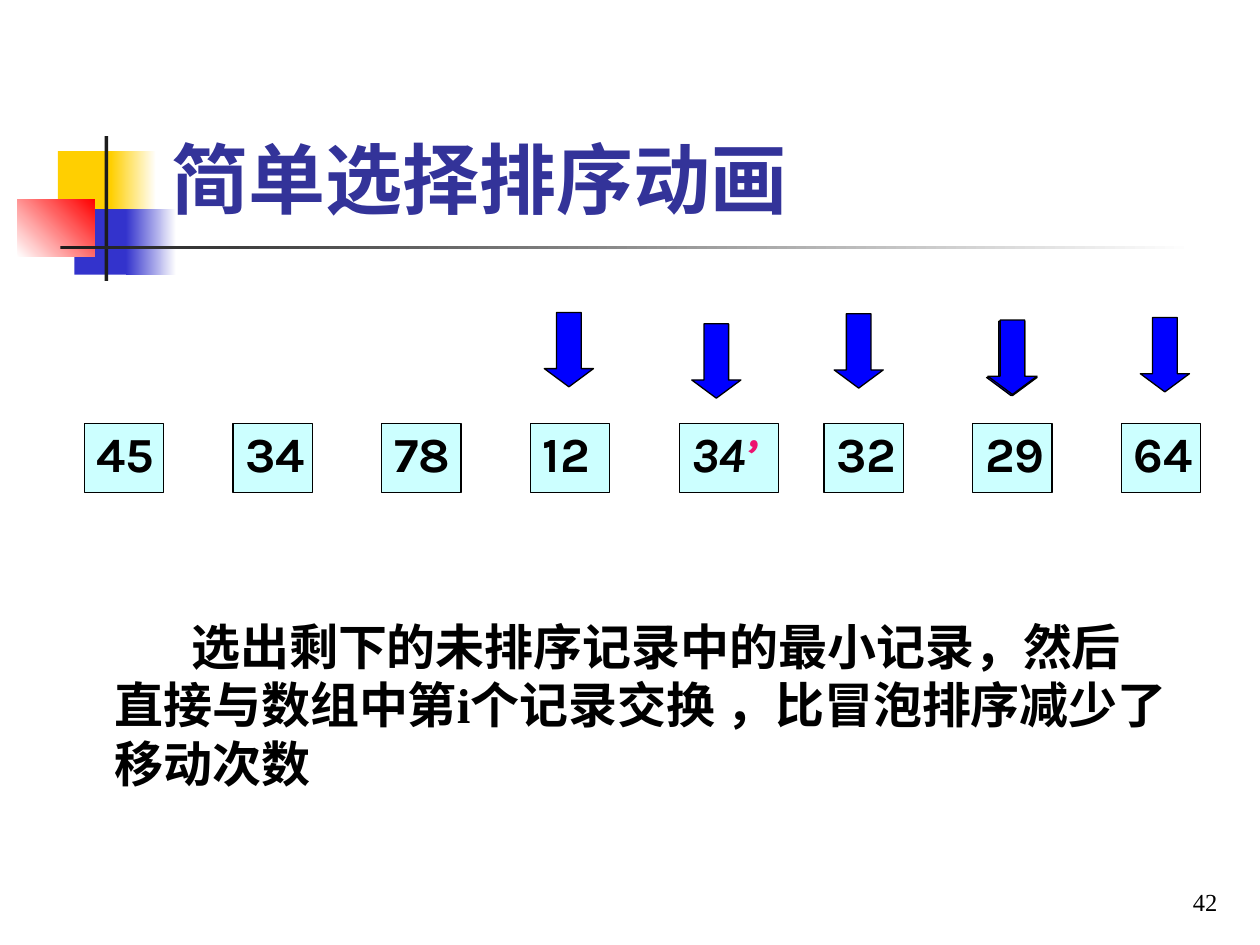
from pptx import Presentation
from pptx.dml.color import RGBColor
from pptx.enum.shapes import MSO_SHAPE
from pptx.enum.text import MSO_ANCHOR, PP_ALIGN
from pptx.util import Inches, Pt

RECTANGLE, DOWN_ARROW = MSO_SHAPE.RECTANGLE, MSO_SHAPE.DOWN_ARROW
TOP, MIDDLE, BOTTOM = MSO_ANCHOR.TOP, MSO_ANCHOR.MIDDLE, MSO_ANCHOR.BOTTOM
LEFT, RIGHT = PP_ALIGN.LEFT, PP_ALIGN.RIGHT

SERIF, SANS = "Times New Roman", "Karla"
BLACK, WHITE, PINK = "000000", "FFFFFF", "ED1370"
YELLOW, BLUE, RED, DARK = "FFCF01", "3333CC", "FF0000", "1C1C1C"

ORNAMENTS = [
    ((0.46, 1.2, 0.48, 0.52), [YELLOW], 0),
    ((0.88, 1.2, 0.36, 0.52), [YELLOW, WHITE], 0),
    ((0.59, 1.66, 0.46, 0.52), [BLUE], 0),
    ((1, 1.66, 0.4, 0.52), [BLUE, WHITE], 0),
    ((0.14, 1.58, 0.61, 0.46), [WHITE, RED], 45),
    ((0.83, 1.08, 0.03, 1.15), [DARK], 0),
    ((0.48, 1.95, 9, 0.03), [DARK, WHITE], 0),
]
TITLE = "简单选择排序动画"
EXPLANATION = "选出剩下的未排序记录中的最小记录，然后直接与数组中第i个记录交换 ，比冒泡排序减少了移动次数"
PAGE_NUMBER = "42"

RECORD_GROUPS = [
    (0.67, ["45", "34", "78", "12", "34’"]),
    (6.54, ["32", "29", "64"]),
]
RECORD_TOP, RECORD_PITCH = 3.36, 1.18
RECORD_WIDTH, MARKED_WIDTH, RECORD_HEIGHT = 0.63, 0.79, 0.55
MARK = "’"

ARROW_POSITIONS = [
    (4.32, 2.48), (6.62, 2.49), (7.84, 2.55), (7.83, 2.55),
    (5.49, 2.57), (7.84, 2.54), (9.05, 2.52),
]
ARROW_SIZE = (0.39, 0.59)

prs = Presentation()
prs.slide_width, prs.slide_height = Inches(10), Inches(7.5)
slide = prs.slides.add_slide(prs.slide_layouts[6])


def rgb(value):
    return RGBColor.from_string(value)


def add_block(kind, box, colors, angle=0, outlined=False):
    block = slide.shapes.add_shape(kind, *map(Inches, box))
    block.shadow.inherit = False
    if len(colors) == 1:
        block.fill.solid()
        block.fill.fore_color.rgb = rgb(colors[0])
    else:
        block.fill.gradient()
        block.fill.gradient_angle = angle
        for stop, color in zip(block.fill.gradient_stops, colors):
            stop.color.rgb = rgb(color)
    if outlined:
        block.line.color.rgb = rgb(BLACK)
        block.line.width = Pt(0.75)
    else:
        block.line.fill.background()
    return block


def format_run(run, font, size, color, bold=False, italic=False):
    run.font.name = font
    run.font.size = Pt(size)
    run.font.color.rgb = rgb(color)
    run.font.bold = bold
    run.font.italic = italic


def add_text(box, text, size, color, bold, anchor, align=LEFT):
    frame = slide.shapes.add_textbox(*map(Inches, box)).text_frame
    frame.word_wrap = True
    frame.vertical_anchor = anchor
    frame.text = text
    paragraph = frame.paragraphs[0]
    paragraph.alignment = align
    format_run(paragraph.runs[0], SERIF, size, color, bold)
    return paragraph


def add_record(left, value):
    marked = value.endswith(MARK)
    width = MARKED_WIDTH if marked else RECORD_WIDTH
    box = (left, RECORD_TOP, width, RECORD_HEIGHT)
    frame = add_block(RECTANGLE, box, ["CCFFFF"], outlined=True).text_frame
    frame.word_wrap = False
    frame.vertical_anchor = MIDDLE
    frame.text = value.rstrip(MARK)
    paragraph = frame.paragraphs[0]
    paragraph.alignment = LEFT
    paragraph.line_spacing = 0.8
    format_run(paragraph.runs[0], SANS, 28, BLACK, True, marked)
    if marked:
        mark = paragraph.add_run()
        mark.text = MARK
        format_run(mark, SANS, 28, PINK, True, True)


for box, colors, angle in ORNAMENTS:
    add_block(RECTANGLE, box, colors, angle)

add_text((1.26, 0.91, 8.52, 0.92), TITLE, 44, "333399", True, BOTTOM)

for start, values in RECORD_GROUPS:
    for index, value in enumerate(values):
        add_record(start + index * RECORD_PITCH, value)

for position in ARROW_POSITIONS:
    arrow = add_block(DOWN_ARROW, position + ARROW_SIZE, ["0000FF"], outlined=True)
    arrow.adjustments[0] = 0.5
    arrow.adjustments[1] = 0.37

explanation = add_text((0.31, 4.84, 9.06, 1.51), EXPLANATION, 28, BLACK, True, TOP)
indents = explanation._p.get_or_add_pPr()
indents.set("marL", str(Inches(0.5)))
indents.set("indent", str(Inches(0.61)))

add_text((7.68, 6.82, 2.08, 0.5), PAGE_NUMBER, 14, BLACK, False, BOTTOM, RIGHT)

prs.save("out.pptx")
